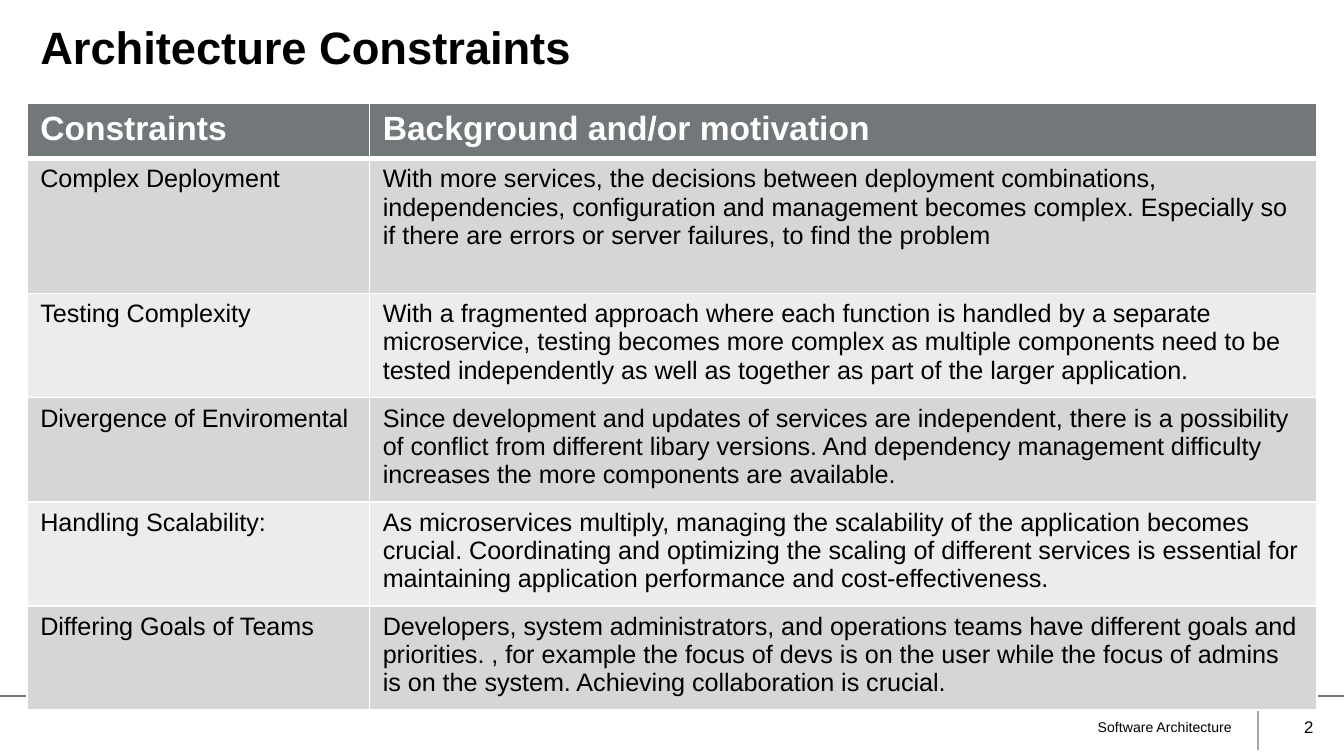
from lxml.etree import SubElement
from pptx import Presentation
from pptx.dml.color import RGBColor
from pptx.enum.shapes import MSO_CONNECTOR
from pptx.enum.text import MSO_ANCHOR, MSO_AUTO_SIZE, PP_ALIGN
from pptx.oxml.ns import qn
from pptx.util import Pt

BLACK = RGBColor(0x00, 0x00, 0x00)
WHITE = RGBColor(0xFF, 0xFF, 0xFF)
SLATE = RGBColor(0x72, 0x77, 0x7A)
RULE = RGBColor(0xA6, 0xA6, 0xA6)
DARK = RGBColor(0xD5, 0xD6, 0xD7)
LIGHT = RGBColor(0xEB, 0xEC, 0xEC)

ROWS = [
    ("Constraints", "Background and/or motivation"),
    ("Complex Deployment",
     "With more services, the decisions between deployment combinations, "
     "independencies, configuration and management becomes complex. "
     "Especially so if there are errors or server failures, to find the problem"),
    ("Testing Complexity",
     "With a fragmented approach where each function is handled by a separate "
     "microservice, testing becomes more complex as multiple components need to be "
     "tested independently as well as together as part of the larger application."),
    ("Divergence of Enviromental",
     "Since development and updates of services are independent, there is a "
     "possibility of conflict from different libary versions. And dependency "
     "management difficulty increases the more components are available."),
    ("Handling Scalability:",
     "As microservices multiply, managing the scalability of the application "
     "becomes crucial. Coordinating and optimizing the scaling of different services "
     "is essential for maintaining application performance and cost-effectiveness."),
    ("Differing Goals of Teams",
     "Developers, system administrators, and operations teams have different goals "
     "and priorities. , for example the focus of devs is on the user while the focus "
     "of admins is on the system. Achieving collaboration is crucial."),
]


def write(frame, text, size, color=BLACK, bold=False, align=PP_ALIGN.LEFT):
    frame.text = text
    frame.word_wrap = True
    para = frame.paragraphs[0]
    para.alignment = align
    font = para.runs[0].font
    font.name, font.size, font.bold = "Arial", Pt(size), bold
    font.color.rgb = color


def add_line(slide, x1, y1, x2, y2, color):
    line = slide.shapes.add_connector(
        MSO_CONNECTOR.STRAIGHT, Pt(x1), Pt(y1), Pt(x2), Pt(y2))
    line.line.color.rgb = color
    line.line.width = Pt(1)
    SubElement(line._element.spPr, qn("a:effectLst"))


def add_label(slide, text, size, left, top, width, height):
    box = slide.shapes.add_textbox(Pt(left), Pt(top), Pt(width), Pt(height))
    write(box.text_frame, text, size, align=PP_ALIGN.RIGHT)
    box.text_frame.vertical_anchor = MSO_ANCHOR.MIDDLE


def set_edges(cell, base):
    props = cell._tc.get_or_add_tcPr()
    widths = {"a:lnL": 1, "a:lnR": 1, "a:lnT": 1, "a:lnB": base}
    for spot, (tag, width) in enumerate(widths.items()):
        edge = SubElement(props, qn(tag), w=str(Pt(width)))
        fill = SubElement(edge, qn("a:solidFill"))
        SubElement(fill, qn("a:srgbClr"), val=str(WHITE))
        props.insert(spot, edge)  # edges precede the cell fill


def add_title(slide, left, top, width, height):
    title = slide.shapes.title
    title.left, title.top = Pt(left), Pt(top)
    title.width, title.height = Pt(width), Pt(height)
    frame = title.text_frame
    write(frame, "Architecture Constraints", 24.3, bold=True)
    frame.auto_size = MSO_AUTO_SIZE.NONE
    frame.vertical_anchor = MSO_ANCHOR.MIDDLE
    frame.paragraphs[0].line_spacing = 0.9


def add_grid(slide, left, top, width, height):
    head, first, side = 29.5, 72.3, 183.5
    rest = (height - head - first) / (len(ROWS) - 2)
    grid = slide.shapes.add_table(
        len(ROWS), 2, Pt(left), Pt(top), Pt(width), Pt(height)).table
    grid.columns[0].width, grid.columns[1].width = Pt(side), Pt(width - side)
    for r, texts in enumerate(ROWS):
        grid.rows[r].height = Pt((head, first)[r] if r < 2 else rest)
        for c, text in enumerate(texts):
            cell = grid.cell(r, c)
            cell.fill.solid()
            if r == 0:
                cell.fill.fore_color.rgb = SLATE
                write(cell.text_frame, text, 18, WHITE, True)
            else:
                cell.fill.fore_color.rgb = DARK if r % 2 else LIGHT
                write(cell.text_frame, text, 13.5)
            set_edges(cell, 3 if r == 0 else 1)


def add_footer(slide, left, top, width, height):
    split = left + width - 46
    add_line(slide, split, top + 2.2, split, top + height - 3, RULE)
    add_line(slide, left, top, left + width, top, SLATE)
    add_label(slide, "Software Architecture", 7.5, split - 454, top + 5.7, 447, 21.6)
    add_label(slide, "2", 9, split - 1.5, top + 5.7, 38.2, 21.6)


def main():
    deck = Presentation()
    deck.slide_width, deck.slide_height = Pt(720), Pt(405)
    slide = deck.slides.add_slide(deck.slide_layouts[5])
    # Footer band, heading, then the table of constraints
    add_footer(slide, 0, 373, 720, 32)
    add_title(slide, 14.4, 9.4, 691.2, 34.6)
    add_grid(slide, 14.4, 55.5, 691.2, 311.4)
    deck.save("out.pptx")


if __name__ == "__main__":
    main()
